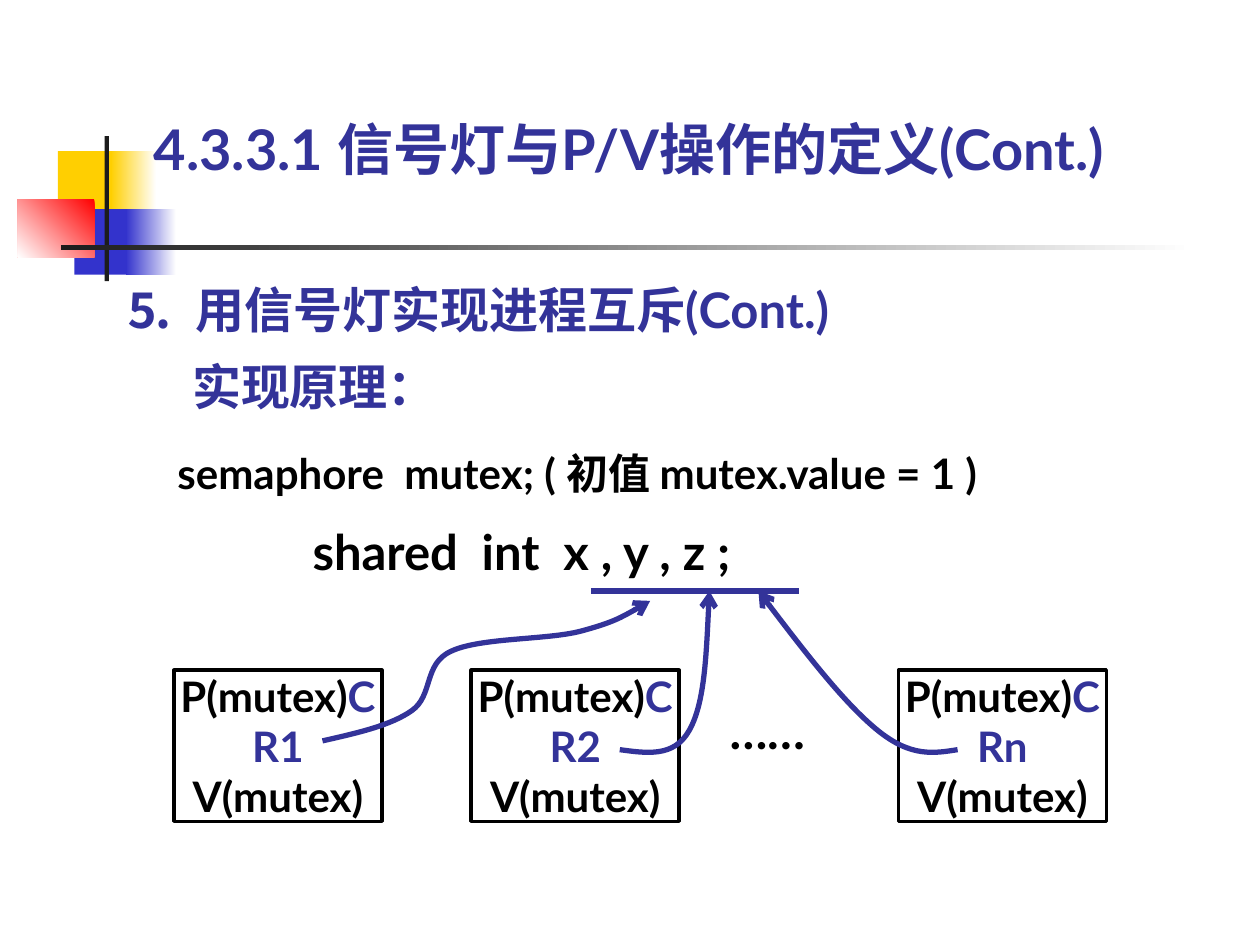
from dataclasses import dataclass

from lxml import etree
from pptx import Presentation
from pptx.dml.color import RGBColor
from pptx.enum.shapes import MSO_CONNECTOR, MSO_SHAPE
from pptx.enum.text import MSO_ANCHOR, PP_ALIGN
from pptx.oxml.ns import qn
from pptx.util import Pt

RECTANGLE = MSO_SHAPE.RECTANGLE
STRAIGHT = MSO_CONNECTOR.STRAIGHT
TOP, MIDDLE, BOTTOM = MSO_ANCHOR.TOP, MSO_ANCHOR.MIDDLE, MSO_ANCHOR.BOTTOM
LEFT, CENTER = PP_ALIGN.LEFT, PP_ALIGN.CENTER

COLOURS = {
    "white": "FFFFFF", "black": "000000", "ink": "1C1C1C", "indigo": "333399",
    "yellow": "FFCF01", "blue": "3333CC", "red": "FF0000",
}


@dataclass
class Block:
    bounds: tuple[float, float, float, float]
    colours: tuple[str, ...]
    angle: float = 180


@dataclass
class Line:
    spans: tuple[tuple[str, str], ...]
    size: float
    space_before: float = 0
    indent: float = 0
    alignment: PP_ALIGN = LEFT


@dataclass
class Label:
    bounds: tuple[float, float, float, float]
    lines: list[Line]
    anchor: MSO_ANCHOR = TOP
    margins: tuple[float, float] = (0, 0)


@dataclass
class Process:
    name: str
    left: float
    curve: list[tuple[float, float]]


BLOCKS = [
    Block((33.1, 86.4, 34.6, 37.4), ("yellow",)),
    Block((63.4, 86.4, 25.9, 37.4), ("white", "yellow")),
    Block((42.5, 119.5, 33.1, 37.4), ("blue",)),
    Block((72, 119.5, 28.8, 37.4), ("white", "blue")),
    Block((10.1, 113.8, 43.9, 33.1), ("red", "white"), 225),
    Block((59.8, 77.8, 2.4, 82.8), ("ink",)),
    Block((34.6, 140.2, 648, 2.4), ("white", "ink")),
]

LABELS = [
    Label((87.8, 65.5, 607, 38.2),
          [Line((("4.3.3.1 信号灯与P/V操作的定义(Cont.)", "indigo"),), 32)], BOTTOM),
    Label((71.3, 159.8, 504.7, 77.8),
          [Line((("⒌  用信号灯实现进程互斥(Cont.)", "indigo"),), 28),
           Line((("实现原理：", "indigo"),), 28, 10.5, 38.5)], MIDDLE),
    Label((94.3, 252, 543.6, 36),
          [Line((("semaphore  mutex; ( 初值 mutex.value = 1 )", "black"),), 24)],
          margins=(7.2, 3.6)),
    Label((416.9, 400.3, 96.5, 33.8), [Line((("……", "black"),), 28)]),
    Label((178.6, 298.1, 289.4, 33.8),
          [Line((("shared  int  x , y , z ;", "black"),), 28)]),
]

PROCESSES = [
    Process("R1", 99.4, [
        (184.3, 423.4), (203.8, 419), (223.2, 414.7), (235.4, 406.1),
        (247.7, 397.4), (241.9, 379.4), (257.8, 372.2), (274.3, 364.3),
        (312.5, 365.8), (331.9, 360.7), (350.6, 355.7), (360.7, 349.9),
        (371.5, 343.4)]),
    Process("R2", 269.3, [
        (354.2, 428.4), (370.1, 430.6), (385.2, 432.7), (393.8, 417.6),
        (402.5, 402.5), (403.9, 370.1), (405.4, 337.7)]),
    Process("Rn", 513.4, [
        (547.2, 428.4), (533.5, 430.6), (520.6, 432.7), (501.8, 417.6),
        (483.1, 402.5), (457.9, 370.1), (433.4, 337.7)]),
]


def colour(name: str) -> RGBColor:
    return RGBColor.from_string(COLOURS[name])


def set_attributes(target, values: dict) -> None:
    for name, value in values.items():
        setattr(target, name, value)


def set_line(line, name: str, width: float) -> None:
    line.color.rgb = colour(name)
    line.width = Pt(width)


def draw_block(page, block: Block) -> None:
    shape = page.shapes.add_shape(RECTANGLE, *map(Pt, block.bounds))
    shape.shadow.inherit = False
    shape.line.fill.background()
    if len(block.colours) == 1:
        shape.fill.solid()
        shape.fill.fore_color.rgb = colour(block.colours[0])
        return
    shape.fill.gradient()
    shape.fill.gradient_angle = block.angle
    for stop, name in zip(shape.fill.gradient_stops, block.colours):
        stop.color.rgb = colour(name)


def write_text(shape, label: Label) -> None:
    frame = shape.text_frame
    side, edge = map(Pt, label.margins)
    set_attributes(frame, {
        "word_wrap": True, "vertical_anchor": label.anchor,
        "margin_left": side, "margin_right": side,
        "margin_top": edge, "margin_bottom": edge,
    })
    for index, line in enumerate(label.lines):
        para = frame.add_paragraph() if index else frame.paragraphs[0]
        set_attributes(para, {"alignment": line.alignment,
                              "space_before": Pt(line.space_before)})
        if line.indent:
            para._p.get_or_add_pPr().set("marL", str(Pt(line.indent)))
        for text, name in line.spans:
            span = para.add_run()
            span.text = text
            set_attributes(span.font, {"name": "Lato", "size": Pt(line.size), "bold": True})
            span.font.color.rgb = colour(name)


def draw_label(page, label: Label) -> None:
    write_text(page.shapes.add_textbox(*map(Pt, label.bounds)), label)


def draw_process(page, process: Process) -> None:
    bounds = (process.left, 383, 118.8, 86.4)
    box = page.shapes.add_shape(RECTANGLE, *map(Pt, bounds))
    box.shadow.inherit = False
    box.fill.background()
    set_line(box.line, "black", 2)
    entry = (("P(mutex)", "black"), ("C" + process.name, "indigo"))
    leave = (("V(mutex)", "black"),)
    lines = [Line(spans, 24, alignment=CENTER) for spans in (entry, leave)]
    write_text(box, Label(bounds, lines))


def draw_curve(page, points: list[tuple[float, float]]) -> None:
    start, *rest = [(Pt(x), Pt(y)) for x, y in points]
    builder = page.shapes.build_freeform(*start)
    builder.add_line_segments(rest, close=False)
    curve = builder.convert_to_shape()
    curve.shadow.inherit = False
    curve.fill.background()
    set_line(curve.line, "indigo", 3)
    outline = curve._element.find(".//" + qn("a:path"))
    segments = outline.findall(qn("a:lnTo"))
    for first in range(0, len(segments), 3):
        bezier = etree.SubElement(outline, qn("a:cubicBezTo"))
        for segment in segments[first:first + 3]:
            bezier.append(segment[0])
            outline.remove(segment)
    etree.SubElement(curve.line._get_or_add_ln(), qn("a:tailEnd"), type="arrow")


def draw_underline(page) -> None:
    underline = page.shapes.add_connector(
        STRAIGHT, Pt(337.7), Pt(337.7), Pt(456.5), Pt(337.7))
    set_line(underline.line, "indigo", 3)
    etree.SubElement(underline._element.spPr, qn("a:effectLst"))


def main() -> None:
    deck = Presentation()
    set_attributes(deck, {"slide_width": Pt(720), "slide_height": Pt(540)})
    page = deck.slides.add_slide(deck.slide_layouts[6])
    for block in BLOCKS:
        draw_block(page, block)
    for label in LABELS:
        draw_label(page, label)
    for process in PROCESSES:
        draw_process(page, process)
    draw_underline(page)
    for process in reversed(PROCESSES):
        draw_curve(page, process.curve)
    deck.save("out.pptx")


if __name__ == "__main__":
    main()
